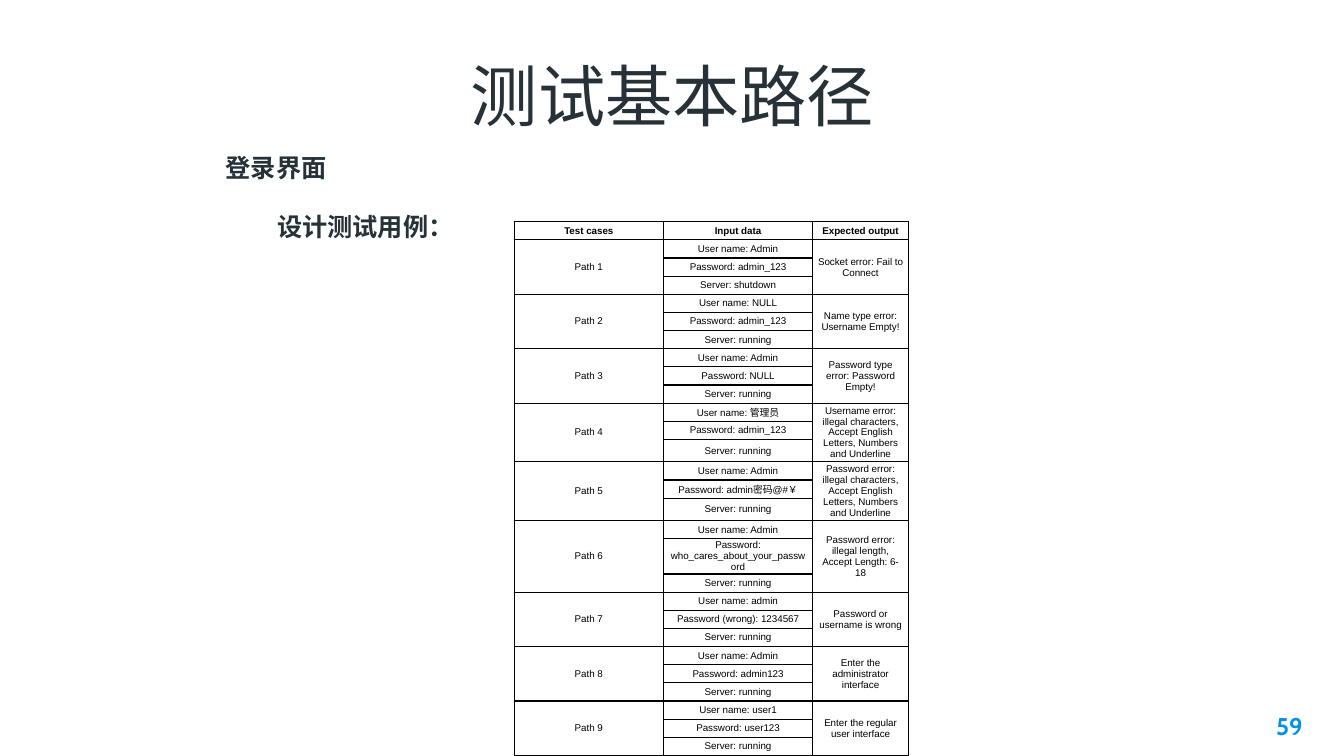
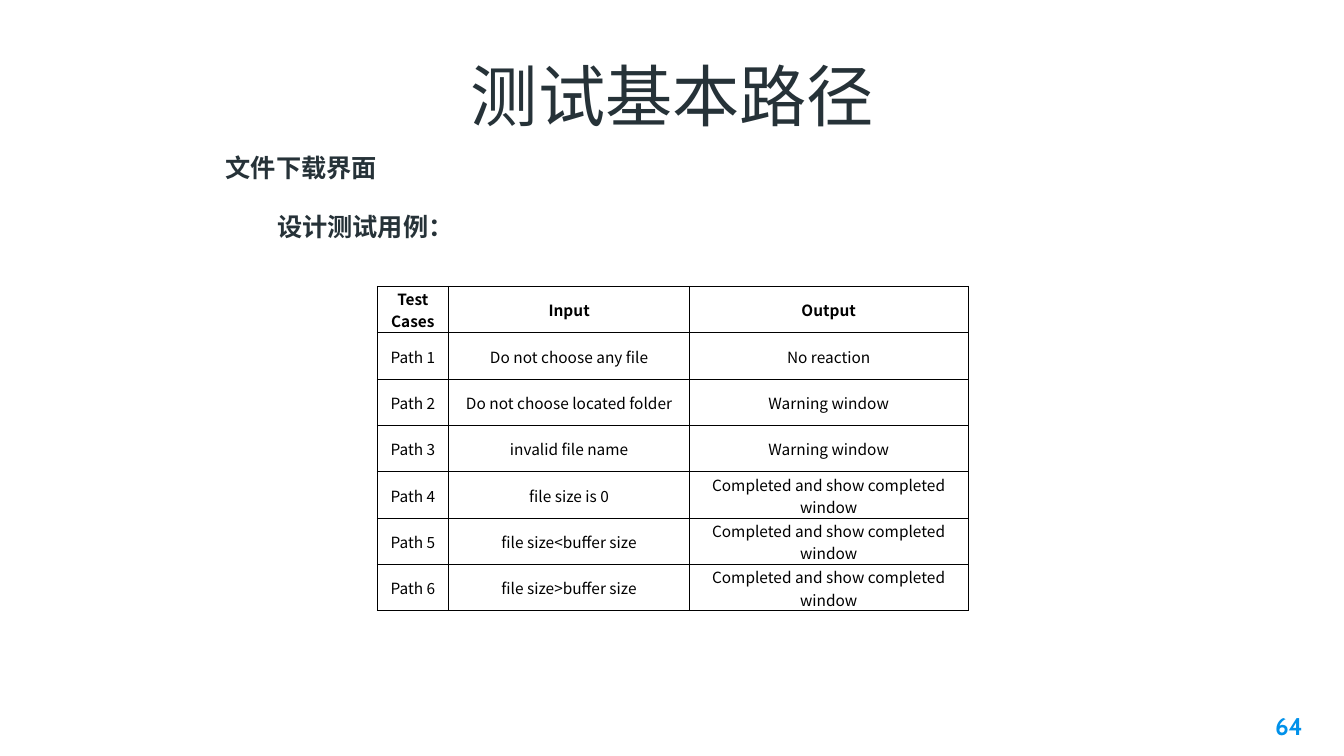
import pptx
import pptx.dml.color
import pptx.enum.text
import pptx.oxml
import pptx.oxml.ns
import pptx.util

PX = 9144  # 100 px to the inch

INK = pptx.dml.color.RGBColor(0x26, 0x32, 0x38)
ACCENT = pptx.dml.color.RGBColor(0x00, 0x91, 0xEA)
BLACK = pptx.dml.color.RGBColor(0x00, 0x00, 0x00)

LATIN_FONT = "Arial"
CHINESE_FONT = "Noto Sans CJK SC"
NUMBER_FONT = "Cabin"

ALIGN = pptx.enum.text.PP_ALIGN
ANCHOR = pptx.enum.text.MSO_ANCHOR
AUTO_SIZE = pptx.enum.text.MSO_AUTO_SIZE

INPUTS_PER_PATH = 3
LOGIN_HEADER = ["Test cases", "Input data", "Expected output"]
LOGIN_PATHS = [
    ("User name: Admin", "Password: admin_123", "Server: shutdown",
     "Socket error: Fail to Connect"),
    ("User name: NULL", "Password: admin_123", "Server: running",
     "Name type error: Username Empty!"),
    ("User name: Admin", "Password: NULL", "Server: running",
     "Password type error: Password Empty!"),
    ("User name: 管理员", "Password: admin_123", "Server: running",
     "Username error: illegal characters, Accept English Letters, Numbers and Underline"),
    ("User name: Admin", "Password: admin密码@#￥", "Server: running",
     "Password error: illegal characters, Accept English Letters, Numbers and Underline"),
    ("User name: Admin", "Password: who_cares_about_your_password", "Server: running",
     "Password error: illegal length, Accept Length: 6-18"),
    ("User name: admin", "Password (wrong): 1234567", "Server: running",
     "Password or username is wrong"),
    ("User name: Admin", "Password: admin123", "Server: running",
     "Enter the administrator interface"),
    ("User name: user1", "Password: user123", "Server: running",
     "Enter the regular user interface"),
]
LOGIN_ROW_HEIGHT = 18
LOGIN_TALL_ROWS = {12: 21, 15: 21, 17: 34}

DOWNLOAD_ROWS = [
    ["Test Cases", "Input", "Output"],
    ["Path 1", "Do not choose any file", "No reaction"],
    ["Path 2", "Do not choose located folder", "Warning window"],
    ["Path 3", "invalid file name", "Warning window"],
    ["Path 4", "file size is 0", "Completed and show completed window"],
    ["Path 5", "file size<buffer size", "Completed and show completed window"],
    ["Path 6", "file size>buffer size", "Completed and show completed window"],
]
DOWNLOAD_ROW_HEIGHT = 46


def px(*lengths):
    return [length * PX for length in lengths]


def style_paragraph(para, size, color, font, bold=False, align=ALIGN.LEFT):
    """Format every run, with a separate typeface for its Chinese characters."""
    para.alignment = align
    for span in para.runs:
        span.font.size = pptx.util.Pt(size)
        span.font.bold = bold
        span.font.color.rgb = color
        span.font.name = font
        east_asian = pptx.oxml.parse_xml(
            f'<a:ea {pptx.oxml.ns.nsdecls("a")} typeface="{CHINESE_FONT}"/>')
        span.font._element.append(east_asian)


def set_insets(target, left, top, right, bottom):
    (target.margin_left, target.margin_top,
     target.margin_right, target.margin_bottom) = px(left, top, right, bottom)


def add_text(slide, bounds, text, inset=None, anchor=ANCHOR.TOP, **style):
    box = slide.shapes.add_textbox(*px(*bounds))
    frame = box.text_frame
    frame.text = text
    frame.word_wrap = True
    frame.vertical_anchor = anchor
    if inset is not None:
        set_insets(frame, inset, inset, inset, inset)
    style_paragraph(frame.paragraphs[0], **style)
    return box


def add_heading(slide, left, top, text):
    box = add_text(slide, (left, top, 522, 40), text,
                   size=18, color=INK, font=LATIN_FONT, bold=True)
    box.text_frame.auto_size = AUTO_SIZE.SHAPE_TO_FIT_TEXT


def set_borders(cell, width):
    properties = cell._tc.get_or_add_tcPr()
    for side in ("lnL", "lnR", "lnT", "lnB"):
        properties.append(pptx.oxml.parse_xml(
            f'<a:{side} {pptx.oxml.ns.nsdecls("a")} w="{pptx.util.Pt(width)}">'
            f'<a:solidFill><a:srgbClr val="{BLACK}"/></a:solidFill></a:{side}>'))


def add_grid(slide, left, top, widths, heights, rows, insets, border, size, font):
    """Draw a bordered, unfilled table whose first row is bold."""
    bounds = px(left, top, sum(widths), sum(heights))
    table = slide.shapes.add_table(len(rows), len(widths), *bounds).table
    table.first_row = False
    table.horz_banding = False
    for column, width in zip(table.columns, px(*widths)):
        column.width = width
    for row, height in zip(table.rows, px(*heights)):
        row.height = height
    for row_index, texts in enumerate(rows):
        for column_index, text in enumerate(texts):
            cell = table.cell(row_index, column_index)
            set_insets(cell, *insets)
            cell.vertical_anchor = ANCHOR.MIDDLE
            set_borders(cell, border)
            cell.fill.background()
            if text:
                cell.text_frame.text = text
                style_paragraph(cell.text_frame.paragraphs[0], size, BLACK, font,
                                bold=row_index == 0, align=ALIGN.CENTER)
    return table


def add_test_slide(deck, subject, number):
    slide = deck.slides.add_slide(deck.slide_layouts[6])
    add_text(slide, (115, 45, 1104, 102), "测试基本路径", inset=13, anchor=ANCHOR.BOTTOM,
             size=48, color=INK, font=LATIN_FONT, align=ALIGN.CENTER)
    add_text(slide, (1225, 693, 80, 57), str(number), inset=13,
             size=17.3, color=ACCENT, font=NUMBER_FONT, bold=True, align=ALIGN.RIGHT)
    add_heading(slide, 214, 146, subject)
    add_heading(slide, 265, 205, "设计测试用例：")
    return slide


def add_login_table(slide):
    rows = [LOGIN_HEADER]
    for number, (*inputs, output) in enumerate(LOGIN_PATHS, start=1):
        rows.append([f"Path {number}", inputs[0], output])
        rows.extend(["", entry, ""] for entry in inputs[1:])
    heights = [LOGIN_TALL_ROWS.get(index, LOGIN_ROW_HEIGHT) for index in range(len(rows))]
    table = add_grid(slide, 510, 220, [148, 148, 95], heights, rows,
                     insets=(5, 0, 5, 0), border=1, size=7, font=LATIN_FONT)
    for first in range(1, len(rows), INPUTS_PER_PATH):
        last = first + INPUTS_PER_PATH - 1
        for column in (0, 2):
            table.cell(first, column).merge(table.cell(last, column))


def add_download_table(slide):
    heights = [DOWNLOAD_ROW_HEIGHT] * len(DOWNLOAD_ROWS)
    add_grid(slide, 374, 284, [71, 239, 276], heights, DOWNLOAD_ROWS,
             insets=(1, 1, 1, 0), border=0.5, size=11, font=CHINESE_FONT)


def main():
    deck = pptx.Presentation()
    deck.slide_width, deck.slide_height = px(1333, 750)
    add_login_table(add_test_slide(deck, "登录界面", 59))
    add_download_table(add_test_slide(deck, "文件下载界面", 64))
    deck.save("out.pptx")


if __name__ == "__main__":
    main()
